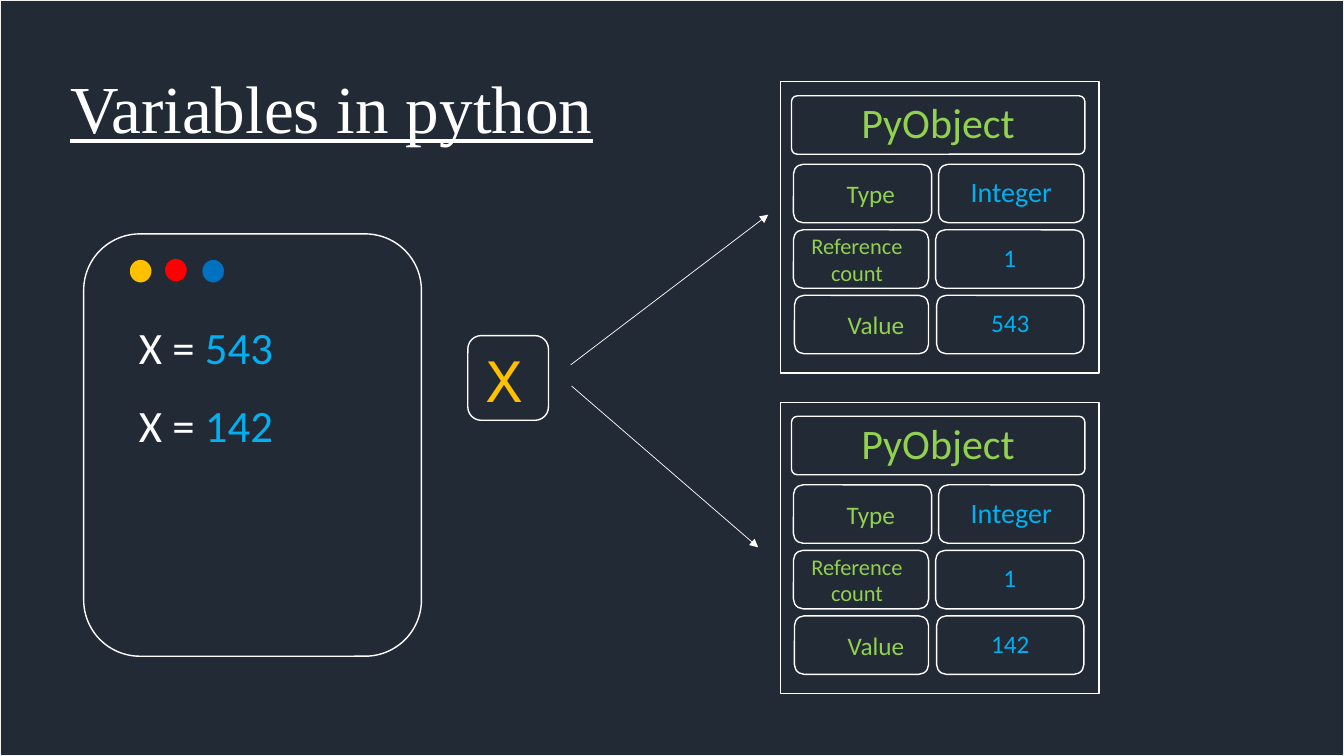
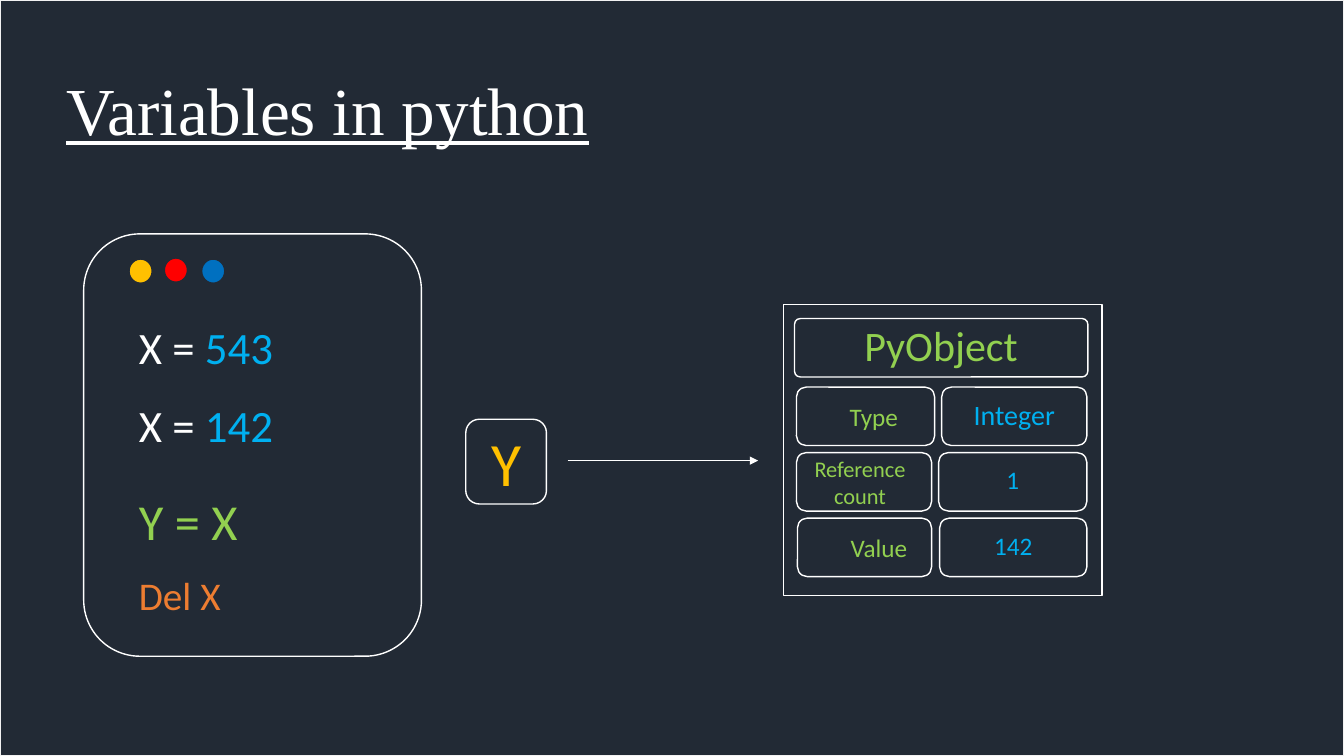
from pptx import Presentation
from pptx import util as u
from pptx.dml.color import RGBColor
from pptx.enum import shapes, text
from pptx.oxml.ns import qn
from lxml import etree

# Shared colours, fonts and shape kinds
NAVY = RGBColor(0x22, 0x2A, 0x35)
WHITE = RGBColor(0xFF, 0xFF, 0xFF)
PALE = RGBColor(0xF2, 0xF2, 0xF2)
GOLD = RGBColor(0xFF, 0xC0, 0x00)
RED = RGBColor(0xFF, 0x00, 0x00)
BLUE = RGBColor(0x00, 0x70, 0xC0)
SKY = RGBColor(0x00, 0xB0, 0xF0)
GREEN = RGBColor(0x92, 0xD0, 0x50)
ORANGE = RGBColor(0xED, 0x7D, 0x31)

BODY, TITLE, MONO = "Calibri", "Times New Roman", "Courier New"
RECT = shapes.MSO_SHAPE.RECTANGLE
ROUND = shapes.MSO_SHAPE.ROUNDED_RECTANGLE
OVAL = shapes.MSO_SHAPE.OVAL
LEFT, MID = text.PP_ALIGN.LEFT, text.PP_ALIGN.CENTER

WIDE, HIGH = 13.33, 7.5
ROW, STEP = 0.58, 0.65


def inch(*nums):
    return [u.Inches(n) for n in nums]


def style(run, size, color, font=BODY):
    run.font.size = u.Pt(size)
    run.font.name = font
    run.font.color.rgb = color


def box(parent, kind, at, line=WHITE, fill=NAVY):
    shape = parent.shapes.add_shape(kind, *inch(*at))
    shape.shadow.inherit = False
    shape.fill.solid()
    shape.fill.fore_color.rgb = fill
    shape.line.color.rgb = line
    shape.line.width = u.Pt(1)
    return shape


def label(shape, words, size, color, font=BODY, align=MID,
          left=0, right=0, space=None):
    """Write text into a shape, centred from top to bottom."""
    frame = shape.text_frame
    frame.word_wrap = True
    frame.vertical_anchor = text.MSO_ANCHOR.MIDDLE
    frame.margin_top = frame.margin_bottom = 0
    frame.margin_left, frame.margin_right = inch(left, right)
    frame.text = words
    for para in frame.paragraphs:
        para.alignment = align
        para.line_spacing = space
        for run in para.runs:
            style(run, size, color, font)


def arrow(slide, start, end):
    line = slide.shapes.add_connector(
        shapes.MSO_CONNECTOR.STRAIGHT, *inch(*start, *end))
    line.line.color.rgb = WHITE
    line.line.width = u.Pt(0.5)
    props = line._element.spPr
    etree.SubElement(props.find(qn("a:ln")), qn("a:tailEnd"), type="triangle")
    etree.SubElement(props, qn("a:effectLst"))


def base(deck, left, top):
    """Start a slide with its backdrop and title."""
    slide = deck.slides.add_slide(deck.slide_layouts[6])
    box(slide, RECT, (0, 0, WIDE, HIGH), PALE)
    head = slide.shapes.add_textbox(*inch(left, top, 11, 1.5))
    label(head, "Variables in python", 48, WHITE, TITLE, LEFT, 0.1, 0.1, 0.9)
    head.text_frame.paragraphs[0].runs[0].font.underline = True
    return slide


def code(slide, lines):
    """Draw the code window; a line is top, size and coloured parts."""
    box(slide, ROUND, (0.83, 2.32, 3.35, 4.19))
    for left, top, color in ((1.28, 2.57, GOLD), (1.63, 2.56, RED),
                             (2, 2.57, BLUE)):
        box(slide, OVAL, (left, top, 0.23, 0.24), NAVY, color)
    for top, size, parts in lines:
        area = slide.shapes.add_textbox(*inch(1.28, top, 1.83, size / 50))
        area.text_frame.word_wrap = True
        para = area.text_frame.paragraphs[0]
        for words, color in parts:
            run = para.add_run()
            run.text = words
            style(run, size, color)


def name(slide, at, letter, font, right=0):
    tile = box(slide, ROUND, (*at, 0.8, 0.84))
    label(tile, letter, 44, GOLD, font, right=right)


def card(slide, left, top, value):
    """Draw one object as a header above three rows of key and value."""
    group = slide.shapes.add_group_shape()
    box(group, RECT, (left, top, 3.16, 2.89))
    head = box(group, ROUND, (left + 0.11, top + 0.14, 2.91, ROW))
    head.adjustments[0] = 0.1
    label(head, "PyObject", 30, GREEN, space=0.9)

    # Key: words, size, align, left inset, right inset; then value and size
    rows = (
        (0.13, 1.37, ("Type", 18, LEFT, 0.5, 0), 1.44, "Integer", 20),
        (0.13, 1.34, ("Reference\ncount", 16, MID, 0, 0.08), 1.47, "1", 18),
        (0.14, 1.33, ("Value", 18, LEFT, 0.5, 0), 1.46, value, 18),
    )
    for i, (shift, wide, key, span, words, size) in enumerate(rows):
        y = top + 0.82 + i * STEP
        cell = box(group, ROUND, (left + shift, y, wide, ROW))
        term, points, align, inset, right = key
        label(cell, term, points, GREEN, BODY, align, inset, right)
        cell = box(group, ROUND, (left + 3.01 - span, y, span, ROW))
        label(cell, words, size, SKY, space=0.9)


def main():
    deck = Presentation()
    deck.slide_width, deck.slide_height = inch(WIDE, HIGH)
    lines = [(3.12, 32, (("X = ", WHITE), ("543", SKY))),
             (3.9, 32, (("X = ", WHITE), ("142", SKY)))]

    # X is bound to one object, then to another
    slide = base(deck, 0.6, 0.36)
    code(slide, lines)
    name(slide, (4.64, 3.33), "X", MONO, 0.08)
    card(slide, 7.74, 0.81, "543")
    card(slide, 7.74, 3.99, "142")
    arrow(slide, (5.66, 3.62), (7.62, 2.13))
    arrow(slide, (5.67, 3.83), (7.52, 5.43))

    # Y keeps the object after X is deleted
    slide = base(deck, 0.56, 0.38)
    code(slide, lines + [(4.81, 36, (("Y = X", GREEN),)),
                         (5.62, 28, (("Del X", ORANGE),))])
    name(slide, (4.62, 4.16), "Y", BODY)
    arrow(slide, (5.63, 4.57), (7.52, 4.57))
    card(slide, 7.77, 3.02, "142")

    deck.save("out.pptx")


if __name__ == "__main__":
    main()
